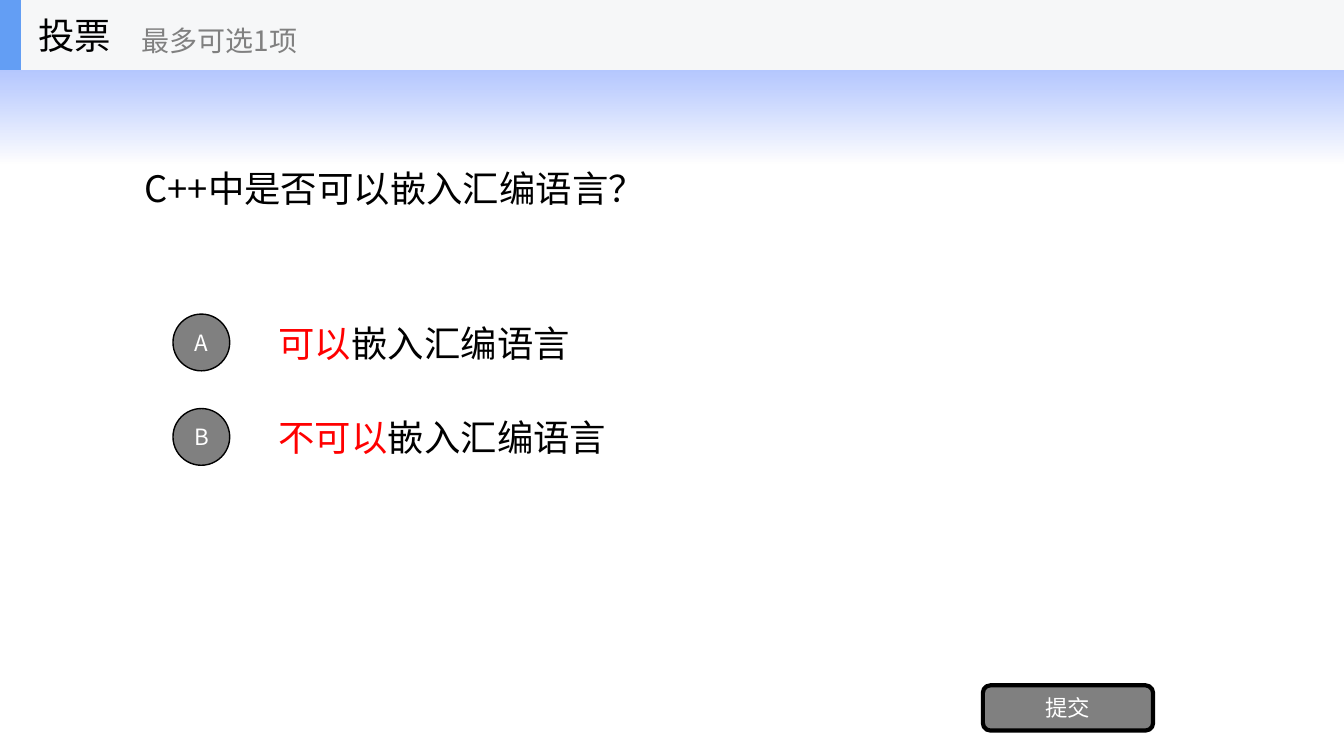
from lxml.etree import SubElement
from pptx import Presentation
from pptx.dml.color import RGBColor
from pptx.enum.shapes import MSO_SHAPE as Preset
from pptx.enum.text import MSO_ANCHOR as Anchor, PP_ALIGN as Align
from pptx.oxml.ns import qn
from pptx.util import Cm, Pt

BLACK = RGBColor(0x00, 0x00, 0x00)
WHITE = RGBColor(0xFF, 0xFF, 0xFF)
RED = RGBColor(0xFF, 0x00, 0x00)
GRAY = RGBColor(0x80, 0x80, 0x80)
PALE = RGBColor(0xF6, 0xF7, 0xF8)
ACCENT = RGBColor(0x63, 0x9E, 0xF4)
BLUE = RGBColor(0x33, 0x66, 0xFF)
FONT = "Noto Sans CJK SC"

# Content
TITLE = "投票"
HINT = "最多可选1项"
QUESTION = "C++中是否可以嵌入汇编语言？"
OPTIONS = [("A", "可以", "嵌入汇编语言"), ("B", "不可以", "嵌入汇编语言")]
SUBMIT = "提交"

# Layout in centimetres
WIDTH, HEIGHT = 33.87, 19.05
HEADER = 1.76
GLOW_HEIGHT = 4.11
GLOW_STOPS = [(BLUE, 60), (WHITE, 70)]  # colour, opacity in percent
OPTION_MIDDLE, OPTION_STEP = 8.63, 2.38
CIRCLE, CIRCLE_LEFT = 1.43, 4.36
ANSWER_LEFT, ANSWER_WIDTH, ANSWER_HEIGHT = 6.77, 23.71, 1.79


def write(shape, spans, size, align=Align.LEFT):
    frame = shape.text_frame
    frame.word_wrap = True
    frame.vertical_anchor = Anchor.MIDDLE
    para = frame.paragraphs[0]
    para.alignment = align
    for text, color in spans:
        span = para.add_run()
        span.text = text
        for name, value in {"name": FONT, "size": Pt(size)}.items():
            setattr(span.font, name, value)
        span.font.color.rgb = color
        SubElement(span.font._element, qn("a:ea"), typeface=FONT)


def add_text(page, area, spans, size):
    box = page.shapes.add_textbox(*map(Cm, area))
    write(box, spans, size)


def add_block(page, preset, area, fill=None, line=None):
    shape = page.shapes.add_shape(preset, *map(Cm, area))
    shape.shadow.inherit = False
    if fill is not None:
        shape.fill.solid()
        shape.fill.fore_color.rgb = fill
    if line is None:
        shape.line.fill.background()
    else:
        shape.line.color.rgb = BLACK
        shape.line.width = Pt(line)
    return shape


def add_glow(page):
    glow = add_block(page, Preset.RECTANGLE, (0, 0, WIDTH, GLOW_HEIGHT))
    glow.fill.gradient()
    glow.fill.gradient_angle = 270
    for stop, (color, opacity) in zip(glow.fill.gradient_stops, GLOW_STOPS):
        stop.color.rgb = color
    tints = glow._element.spPr.iter(qn("a:srgbClr"))
    for tint, (color, opacity) in zip(tints, GLOW_STOPS):
        SubElement(tint, qn("a:alpha"), val=str(opacity * 1000))


def add_button(page, preset, area, label, line):
    button = add_block(page, preset, area, GRAY, line)
    write(button, [(label, WHITE)], 16, Align.CENTER)


def main():
    deck = Presentation()
    deck.slide_width, deck.slide_height = Cm(WIDTH), Cm(HEIGHT)
    page = deck.slides.add_slide(deck.slide_layouts[6])

    # Background glow and question
    add_glow(page)
    add_text(page, (3.39, 1.76, 27.09, 5.95), [(QUESTION, BLACK)], 26)

    # Answer options
    for index, (letter, key, rest) in enumerate(OPTIONS):
        middle = OPTION_MIDDLE + index * OPTION_STEP
        answer = (ANSWER_LEFT, middle - ANSWER_HEIGHT / 2, ANSWER_WIDTH, ANSWER_HEIGHT)
        add_text(page, answer, [(key, RED), (rest, BLACK)], 26)
        circle = (CIRCLE_LEFT, middle - CIRCLE / 2, CIRCLE, CIRCLE)
        add_button(page, Preset.OVAL, circle, letter, 1)

    # Submit button
    add_button(page, Preset.ROUNDED_RECTANGLE, (24.77, 17.27, 4.29, 1.14), SUBMIT, 3)

    # Header bar
    add_block(page, Preset.RECTANGLE, (0, 0, WIDTH, HEADER), PALE)
    add_block(page, Preset.RECTANGLE, (0, 0, 0.53, HEADER), ACCENT)
    add_text(page, (0.71, 0, 5.28, HEADER), [(TITLE, BLACK)], 26)
    add_text(page, (3.32, 0.3, 6.35, 1.42), [(HINT, GRAY)], 20)

    deck.save("out.pptx")


if __name__ == "__main__":
    main()
